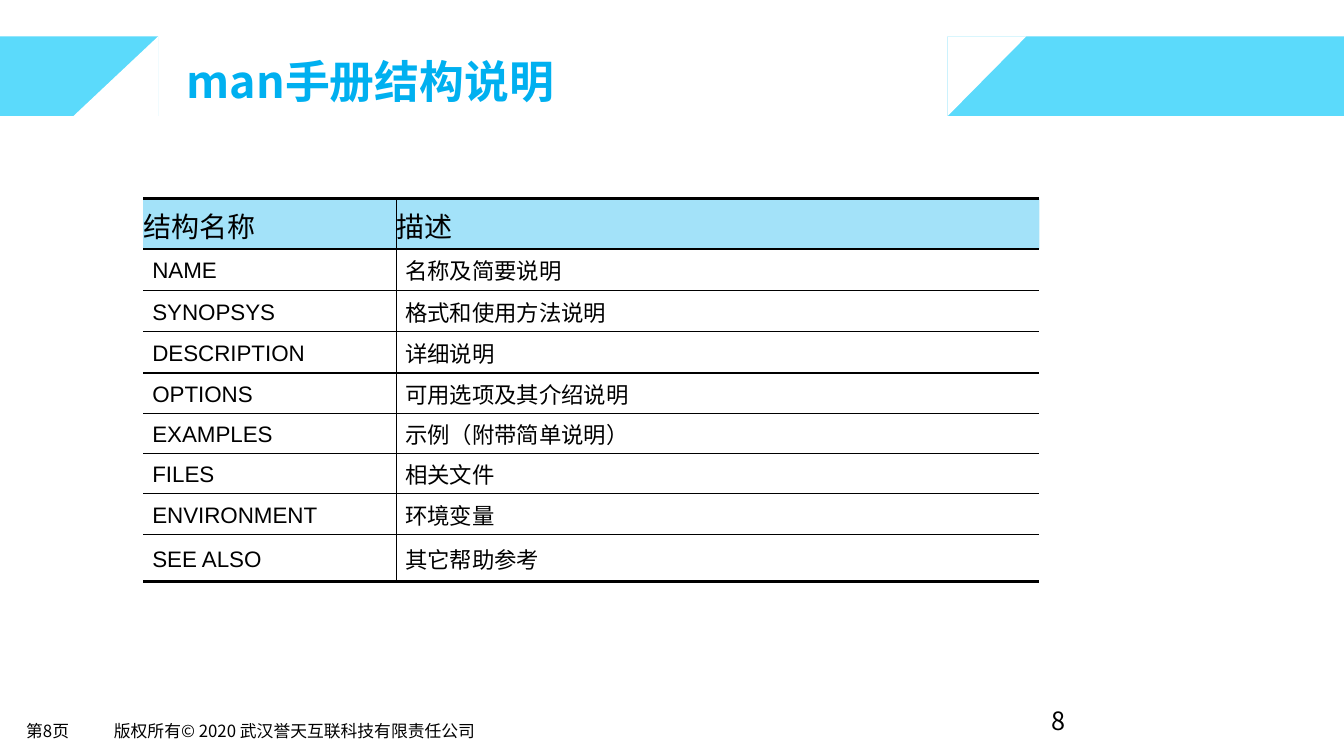
"""Build the slide that explains the structure of man pages."""
from lxml.etree import SubElement
from pptx import Presentation
from pptx.dml.color import RGBColor as Color
from pptx.enum.shapes import MSO_SHAPE as Shape
from pptx.enum.text import MSO_ANCHOR as Anchor, MSO_AUTO_SIZE as AutoSize
from pptx.oxml.ns import qn
from pptx.util import Inches, Pt

COLORS = {"band": "5BDAFB", "paper": "FFFFFF", "title": "00B0F0", "ink": "000000"}
SANS, MONO, LATIN = "Noto Sans CJK SC", "Noto Sans Mono", "Arial"
HEADER = ("结构名称", "描述")
SECTIONS = [
    ("NAME", "名称及简要说明"),
    ("SYNOPSYS", "格式和使用方法说明"),
    ("DESCRIPTION", "详细说明"),
    ("OPTIONS", "可用选项及其介绍说明"),
    ("EXAMPLES", "示例（附带简单说明）"),
    ("FILES", "相关文件"),
    ("ENVIRONMENT", "环境变量"),
    ("SEE ALSO", "其它帮助参考"),
]
COLUMN_WIDTHS = (2.51, 6.38)
ROW_HEIGHTS = [0.5] + [0.41] * 3 + [0.4] * 4 + [0.47]
BAND_TOP, BAND_BOTTOM = 0.36, 1.15


class SlideBuilder:
    """Holds the current slide and its style."""

    def __init__(self, deck):
        self.page = deck.slides.add_slide(deck.slide_layouts[6])
        self.shapes = self.page.shapes

    def paint(self, shape, color):
        shape.shadow.inherit = False
        shape.fill.solid()
        shape.fill.fore_color.rgb = Color.from_string(COLORS[color])
        shape.line.fill.background()

    def band(self, left, width):
        shape = self.shapes.add_shape(
            Shape.RECTANGLE, Inches(left), Inches(BAND_TOP),
            Inches(width), Inches(BAND_BOTTOM - BAND_TOP))
        self.paint(shape, "band")

    def corner(self, *points):
        first, *others = [(Inches(x), Inches(y)) for x, y in points]
        outline = self.shapes.build_freeform(*first)
        outline.add_line_segments(others, close=True)
        self.paint(outline.convert_to_shape(), "paper")

    def add_span(self, para, text, size, font=SANS, color="ink", bold=False):
        span = para.add_run()
        span.text = text
        span.font.size = Pt(size)
        span.font.name = font
        span.font.bold = bold
        span.font.color.rgb = Color.from_string(COLORS[color])
        SubElement(span.font._element, qn("a:ea"), typeface=font)

    def text(self, place, text, size, insets=(0.1, 0.05), wrap=True,
             anchor=Anchor.TOP, **style):
        box = self.shapes.add_textbox(*map(Inches, place))
        frame = box.text_frame
        frame.word_wrap = wrap
        frame.auto_size = AutoSize.NONE if wrap else AutoSize.SHAPE_TO_FIT_TEXT
        frame.vertical_anchor = anchor
        frame.margin_left = frame.margin_right = Inches(insets[0])
        frame.margin_top = frame.margin_bottom = Inches(insets[1])
        self.add_span(frame.paragraphs[0], text, size, **style)

    def border(self, cell, side, points):
        properties = cell._tc.get_or_add_tcPr()
        line = SubElement(properties, qn(f"a:ln{side}"), w=str(Pt(points)))
        if points:
            fill = SubElement(line, qn("a:solidFill"))
            SubElement(fill, qn("a:srgbClr"), val=COLORS["ink"])
        else:
            SubElement(line, qn("a:noFill"))

    def cell(self, cell, text, row, column, last_row):
        is_header = row == 0
        cell.vertical_anchor = Anchor.MIDDLE
        cell.margin_left = cell.margin_right = cell.margin_bottom = 0
        cell.margin_top = Inches(0.03)
        self.border(cell, "L", 1 if column else 0)
        self.border(cell, "R", 0 if column else 1)
        self.border(cell, "T", 2.25 if is_header else 1)
        self.border(cell, "B", 2.25 if row == last_row else 1)
        para = cell.text_frame.paragraphs[0]
        if is_header:
            cell.fill.solid()
            cell.fill.fore_color.rgb = Color.from_string(COLORS["title"])
            tint = cell._tc.tcPr.find(qn("a:solidFill"))[0]
            SubElement(tint, qn("a:alpha"), val="36000")
            self.add_span(para, text, 20)
        else:
            cell.fill.background()
            para._p.get_or_add_pPr().set("marL", str(Inches(0.09)))
            self.add_span(para, text, 16, MONO if column else LATIN)

    def table(self, left, top, rows):
        table = self.shapes.add_table(
            len(rows), len(COLUMN_WIDTHS), Inches(left), Inches(top),
            Inches(sum(COLUMN_WIDTHS)), Inches(sum(ROW_HEIGHTS))).table
        table.first_row = table.horz_banding = False
        for column, width in zip(table.columns, COLUMN_WIDTHS):
            column.width = Inches(width)
        for row, height in zip(table.rows, ROW_HEIGHTS):
            row.height = Inches(height)
        for row, texts in enumerate(rows):
            for column, text in enumerate(texts):
                self.cell(table.cell(row, column), text, row, column, len(rows) - 1)


def main():
    deck = Presentation()
    deck.slide_width, deck.slide_height = Inches(13.33), Inches(7.5)
    slide = SlideBuilder(deck)
    slide.band(0, 1.57)
    slide.corner((1.57, BAND_BOTTOM), (0.73, BAND_BOTTOM), (1.57, BAND_TOP))
    slide.band(9.4, 3.93)
    slide.corner((9.4, BAND_TOP), (10.18, BAND_TOP), (9.4, BAND_BOTTOM))
    footer = {"size": 12, "insets": (0.09, 0.04), "wrap": False}
    slide.text((0.17, 7.11, 0.74, 0.29), "第8页", **footer)
    slide.text((1.04, 7.11, 3.86, 0.29),
               "版权所有© 2020 武汉誉天互联科技有限责任公司", **footer)
    slide.text((1.74, 0.45, 10.75, 0.7), "man手册结构说明", 32, (0.11, 0.06),
               anchor=Anchor.MIDDLE, color="title", bold=True)
    slide.text((10.33, 6.95, 3, 0.4), "8", 18)
    slide.table(1.42, 1.97, [HEADER] + SECTIONS)
    deck.save("out.pptx")


if __name__ == "__main__":
    main()
